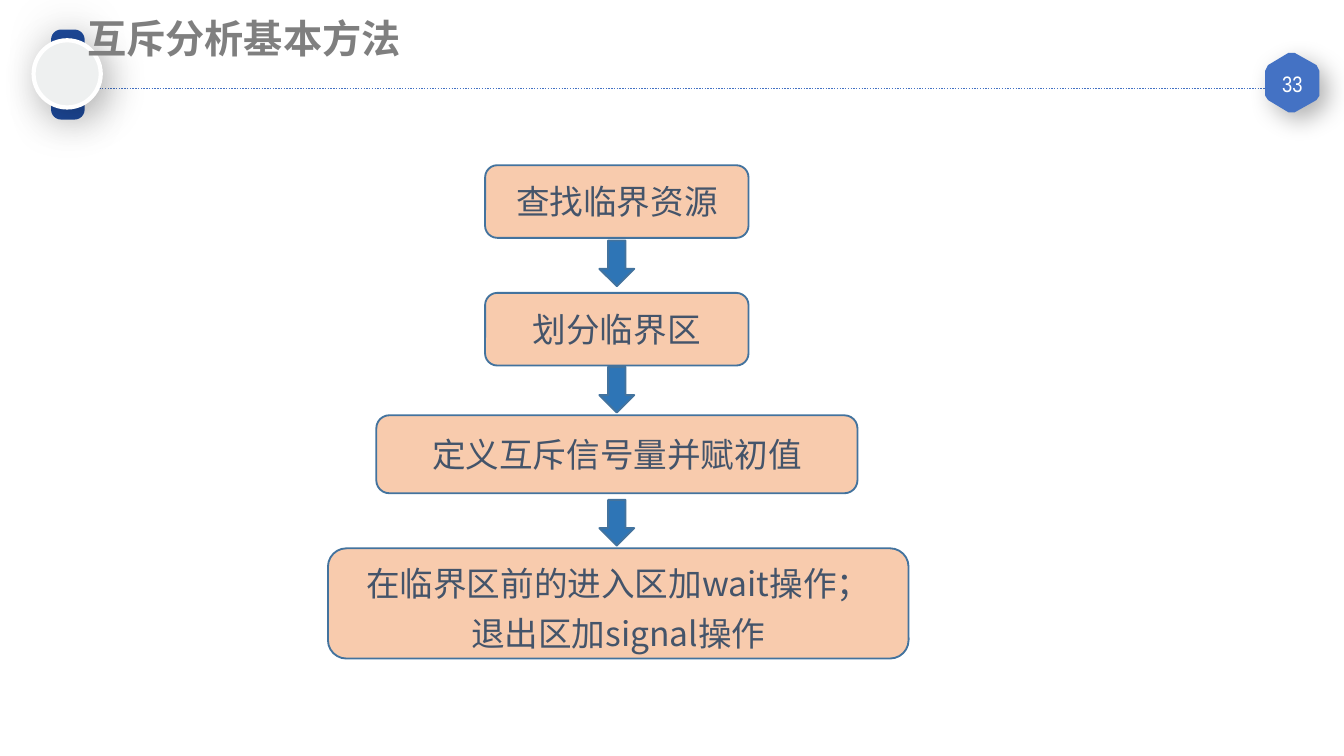
"""Build a flowchart slide on the basic method of mutual exclusion analysis."""
from dataclasses import dataclass
from typing import Optional

from lxml import etree
from pptx import Presentation
from pptx import util as u
from pptx.dml.color import RGBColor
from pptx.enum import dml, shapes, text
from pptx.oxml.ns import qn

COLORS = {
    "accent": "4472C4", "band": "1D4999", "disc": "EEF0F0", "white": "FFFFFF",
    "title": "7F7F7F", "step": "F8CBAD", "outline": "43739E", "label": "44546A",
    "arrow": "2E75B6", "shadow": "000000",
}
CJK_FONT = "Noto Sans CJK SC"
SLIDE_WIDTH = u.Inches(10)
SLIDE_HEIGHT = u.Emu(SLIDE_WIDTH * 9 // 16)
FLOW_CENTER = 4.59


@dataclass(frozen=True)
class Box:
    left: float
    top: float
    width: float
    height: float

    def lengths(self) -> list:
        """Return the four measures as lengths."""
        return [u.Inches(value) for value in (self.left, self.top, self.width, self.height)]


@dataclass(frozen=True)
class Shadow:
    alpha: int
    blur: float
    distance: float = 0
    angle: int = 0


@dataclass(frozen=True)
class TextStyle:
    size: float
    color: str
    font: str = CJK_FONT
    bold: bool = False
    align: text.PP_ALIGN = text.PP_ALIGN.CENTER
    spacing: Optional[float] = None


@dataclass(frozen=True)
class Step:
    lines: tuple
    top: float
    width: float
    height: float
    center: float = FLOW_CENTER
    spacing: Optional[float] = None


STEPS = (
    Step(("查找临界资源",), 1.23, 1.96, 0.54),
    Step(("划分临界区",), 2.18, 1.96, 0.54),
    Step(("定义互斥信号量并赋初值",), 3.09, 3.58, 0.58),
    Step(("在临界区前的进入区加wait操作；", "退出区加signal操作"), 4.08, 4.32, 0.82, 4.6, 1.23),
)
ARROW_TOPS = (1.79, 2.73, 3.72)
BADGE_POINTS = (
    (9.42, 0.53), (9.44, 0.49), (9.59, 0.4), (9.63, 0.4), (9.79, 0.49), (9.81, 0.53),
    (9.81, 0.71), (9.79, 0.74), (9.63, 0.83), (9.59, 0.83), (9.44, 0.74), (9.42, 0.71),
)


def rgb(name: str) -> RGBColor:
    """Look up a named colour."""
    return RGBColor.from_string(COLORS[name])


def paint(shape, fill: str, line: Optional[str] = None, width: float = 1,
          shadow: Optional[Shadow] = None) -> None:
    """Set the fill, outline and shadow of a shape."""
    shape.fill.solid()
    shape.fill.fore_color.rgb = rgb(fill)
    if line:
        shape.line.color.rgb = rgb(line)
        shape.line.width = u.Pt(width)
    else:
        shape.line.fill.background()
    shape.shadow.inherit = False
    if shadow:
        effects = shape._element.spPr.find(qn("a:effectLst"))
        outer = etree.SubElement(
            effects, qn("a:outerShdw"), blurRad=str(u.Pt(shadow.blur)),
            dist=str(u.Pt(shadow.distance)), dir=str(shadow.angle * 60000),
            algn="ctr", rotWithShape="0")
        color = etree.SubElement(outer, qn("a:srgbClr"), val=COLORS["shadow"])
        etree.SubElement(color, qn("a:alpha"), val=str(shadow.alpha * 1000))


def write(shape, lines: tuple, style: TextStyle, frame_format: dict) -> None:
    """Write one styled paragraph for each line."""
    frame = shape.text_frame
    for name, value in {"word_wrap": True, **frame_format}.items():
        setattr(frame, name, value)
    font_format = {"size": u.Pt(style.size), "bold": style.bold, "name": style.font}
    for index, line in enumerate(lines):
        paragraph = frame.add_paragraph() if index else frame.paragraphs[0]
        paragraph.alignment = style.align
        paragraph.line_spacing = style.spacing
        run = paragraph.add_run()
        run.text = line
        run.font.color.rgb = rgb(style.color)
        for name, value in font_format.items():
            setattr(run.font, name, value)
        etree.SubElement(run._r.get_or_add_rPr(), qn("a:ea"), typeface=style.font)


def add_header(slide) -> None:
    """Draw the dotted rule, page badge, ornament and title."""
    rule = slide.shapes.add_connector(
        shapes.MSO_CONNECTOR.STRAIGHT, u.Inches(0.33), u.Inches(0.66), u.Inches(9.43), u.Inches(0.66))
    rule.line.color.rgb = rgb("accent")
    rule.line.width = u.Pt(0.75)
    rule.line.dash_style = dml.MSO_LINE.ROUND_DOT
    etree.SubElement(rule._element.spPr, qn("a:effectLst"))

    points = [(u.Inches(x), u.Inches(y)) for x, y in BADGE_POINTS]
    builder = slide.shapes.build_freeform(*points[0])
    builder.add_line_segments(points[1:], close=True)
    paint(builder.convert_to_shape(), "accent", "accent", shadow=Shadow(30, 13, 6, 45))
    number = slide.shapes.add_textbox(*Box(9.42, 0.5, 0.39, 0.25).lengths())
    margins = {"margin_left": 0.07, "margin_right": 0.07, "margin_top": 0.04, "margin_bottom": 0.04}
    number_format = {name: u.Inches(value) for name, value in margins.items()}
    number_format["vertical_anchor"] = text.MSO_ANCHOR.MIDDLE
    write(number, ("33",), TextStyle(12, "white", "Arial Narrow"), number_format)

    band = slide.shapes.add_shape(
        shapes.MSO_SHAPE.ROUNDED_RECTANGLE, *Box(0.38, 0.22, 0.25, 0.67).lengths())
    band.adjustments[0] = 0.3
    paint(band, "band", shadow=Shadow(17, 27))
    disc = slide.shapes.add_shape(shapes.MSO_SHAPE.OVAL, *Box(0.25, 0.3, 0.5, 0.5).lengths())
    paint(disc, "disc", "white", 2.25, Shadow(28, 22, 6, 45))

    title = slide.shapes.add_textbox(*Box(0.55, 0.06, 5.76, 0.45).lengths())
    style = TextStyle(21, "title", bold=True, align=text.PP_ALIGN.LEFT)
    write(title, ("互斥分析基本方法",), style, {"auto_size": text.MSO_AUTO_SIZE.SHAPE_TO_FIT_TEXT})


def add_step(slide, step: Step) -> None:
    """Draw one step of the flow."""
    box = Box(step.center - step.width / 2, step.top, step.width, step.height)
    shape = slide.shapes.add_shape(shapes.MSO_SHAPE.ROUNDED_RECTANGLE, *box.lengths())
    paint(shape, "step", "outline")
    write(shape, step.lines, TextStyle(18, "label", spacing=step.spacing),
          {"vertical_anchor": text.MSO_ANCHOR.MIDDLE})


def add_arrow(slide, top: float) -> None:
    """Draw one down arrow on the flow's centre line."""
    box = Box(FLOW_CENTER - 0.13, top, 0.26, 0.34)
    paint(slide.shapes.add_shape(shapes.MSO_SHAPE.DOWN_ARROW, *box.lengths()), "arrow", "outline")


def main() -> None:
    """Build and save the presentation."""
    presentation = Presentation()
    presentation.slide_width = SLIDE_WIDTH
    presentation.slide_height = SLIDE_HEIGHT
    slide = presentation.slides.add_slide(presentation.slide_layouts[6])
    add_header(slide)
    for step in STEPS:
        add_step(slide, step)
    for top in ARROW_TOPS:
        add_arrow(slide, top)
    presentation.save("out.pptx")


if __name__ == "__main__":
    main()
